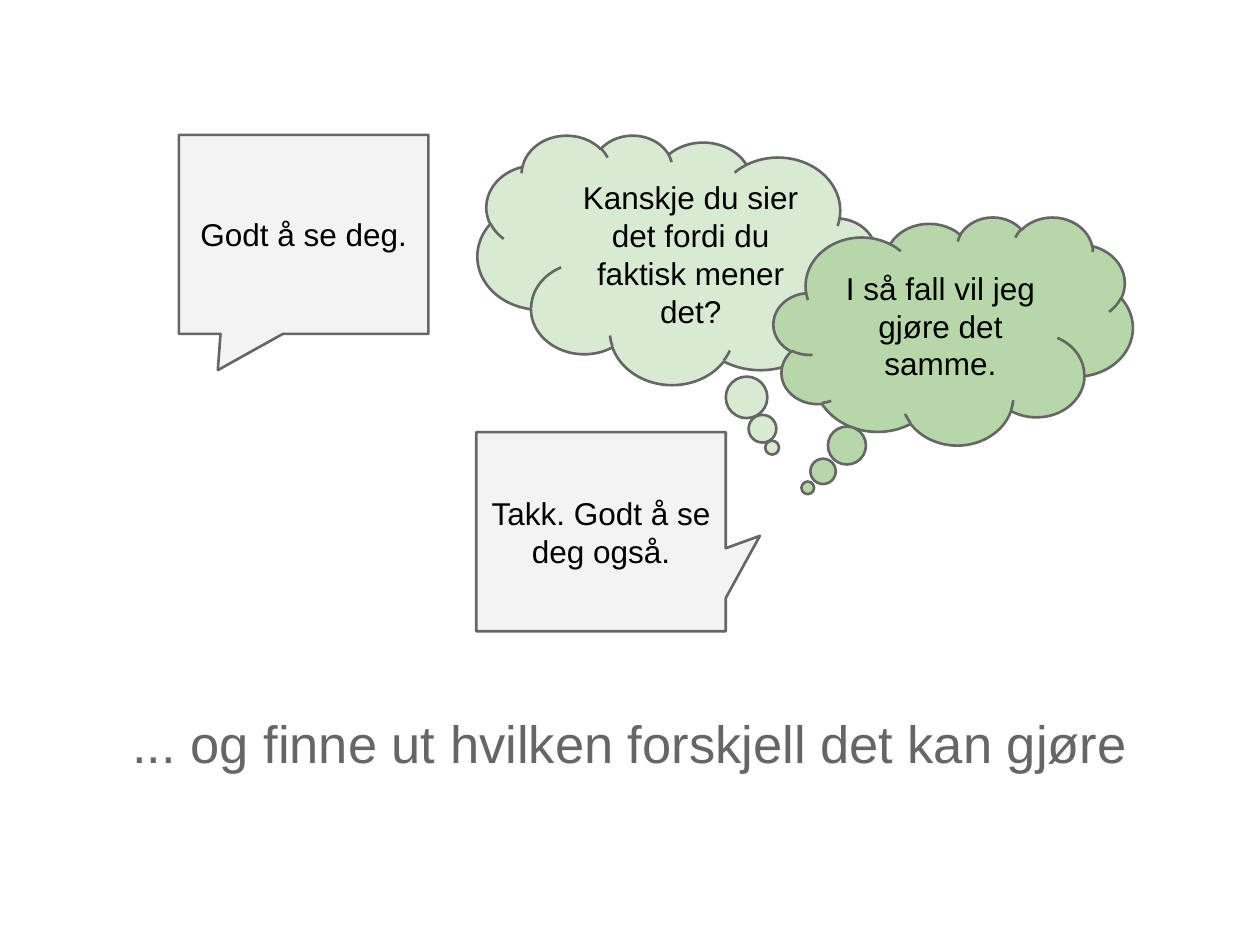
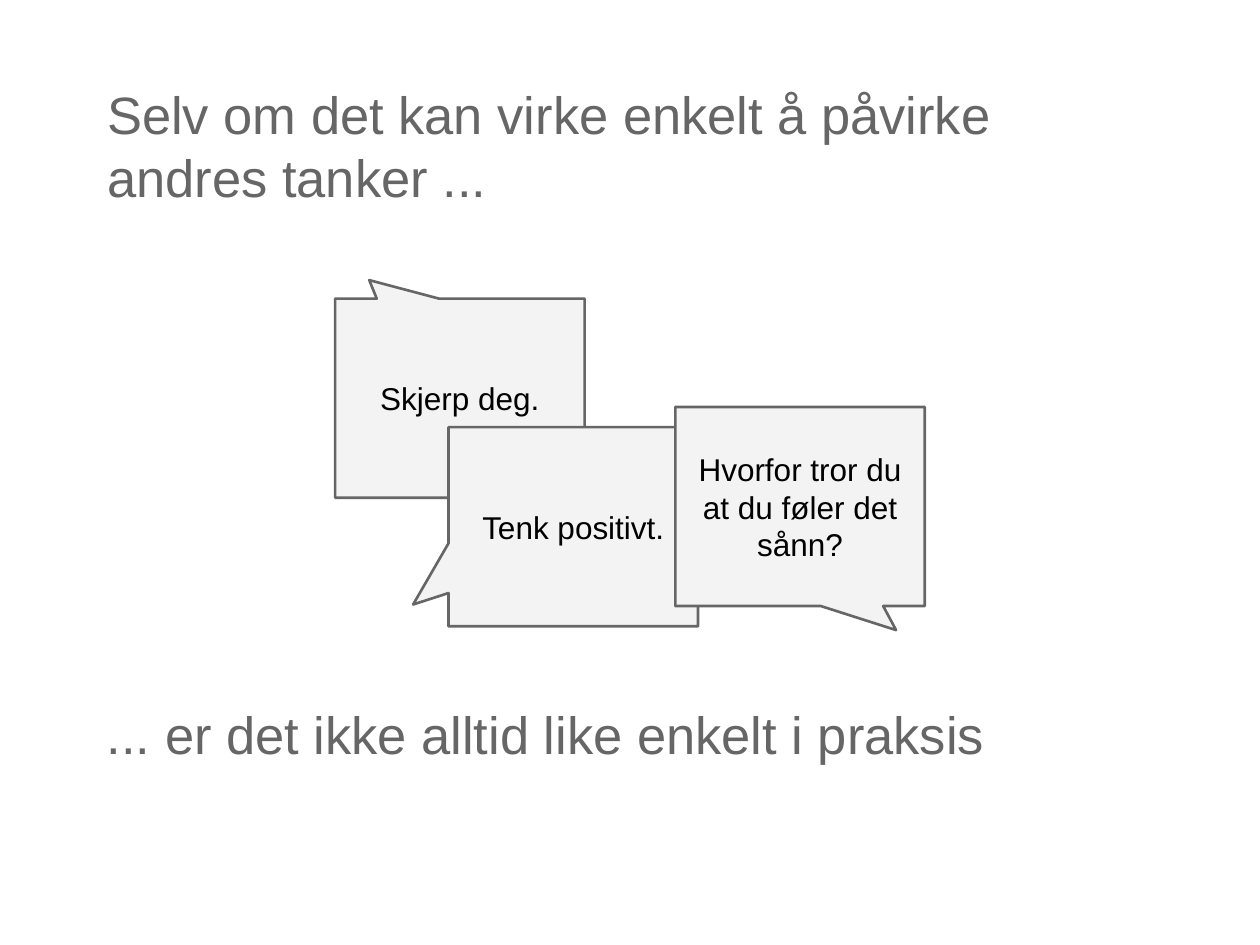
from dataclasses import dataclass

import pptx
import pptx.dml.color
import pptx.enum.shapes
import pptx.enum.text
import pptx.util

RGBColor = pptx.dml.color.RGBColor
Align = pptx.enum.text.PP_ALIGN
Anchor = pptx.enum.text.MSO_ANCHOR
Preset = pptx.enum.shapes.MSO_SHAPE

GREY = RGBColor(0x66, 0x66, 0x66)
PALE_GREY = RGBColor(0xF3, 0xF3, 0xF3)
PALE_GREEN = RGBColor(0xD9, 0xEA, 0xD3)
GREEN = RGBColor(0xB6, 0xD7, 0xA8)
BLACK = RGBColor(0x00, 0x00, 0x00)

FONT = "Arial"
COLUMNS, ROWS = 100, 75
SLIDE_WIDTH, SLIDE_HEIGHT = pptx.util.Inches(10), pptx.util.Inches(7.5)
MARGIN = pptx.util.Inches(0.1)
CAPTION_LEFT, CAPTION_WIDTH = 7.5, 85
SPEECH_WIDTH, SPEECH_HEIGHT = 19.8, 15.8


@dataclass(frozen=True)
class Caption:
    text: str
    row: float
    rows: float = 11.4
    align: Align = Align.LEFT


@dataclass(frozen=True)
class Callout:
    text: str
    column: float
    row: float
    tail: tuple[float, ...]
    columns: float = SPEECH_WIDTH
    rows: float = SPEECH_HEIGHT
    preset: Preset = Preset.ROUNDED_RECTANGULAR_CALLOUT
    fill: RGBColor = PALE_GREY
    flipped: bool = False


@dataclass(frozen=True)
class Scene:
    captions: tuple[Caption, ...]
    callouts: tuple[Callout, ...]


def across(columns: float) -> int:
    return round(SLIDE_WIDTH * columns / COLUMNS)


def down(rows: float) -> int:
    return round(SLIDE_HEIGHT * rows / ROWS)


def write(shape, text: str, size: int, color: RGBColor, align: Align, anchor: Anchor) -> None:
    frame = shape.text_frame
    frame.word_wrap = True
    frame.auto_size = pptx.enum.text.MSO_AUTO_SIZE.NONE
    frame.vertical_anchor = anchor
    frame.margin_left = frame.margin_right = MARGIN
    frame.margin_top = frame.margin_bottom = MARGIN
    frame.text = text
    paragraph = frame.paragraphs[0]
    paragraph.alignment = align
    paragraph.font.name = FONT
    paragraph.font.size = pptx.util.Pt(size)
    paragraph.font.color.rgb = color


def draw_caption(box, caption: Caption) -> None:
    box.left, box.top = across(CAPTION_LEFT), down(caption.row)
    box.width, box.height = across(CAPTION_WIDTH), down(caption.rows)
    write(box, caption.text, 30, GREY, caption.align, Anchor.TOP)


def draw_callout(page, callout: Callout) -> None:
    shape = page.shapes.add_shape(
        callout.preset,
        across(callout.column), down(callout.row),
        across(callout.columns), down(callout.rows),
    )
    for index, value in enumerate(callout.tail):
        shape.adjustments[index] = value
    if callout.flipped:
        shape._element.spPr.xfrm.set("flipH", "1")
    shape.shadow.inherit = False
    shape.fill.solid()
    shape.fill.fore_color.rgb = callout.fill
    shape.line.color.rgb = GREY
    shape.line.width = pptx.util.Pt(1.5)
    write(shape, callout.text, 18, BLACK, Align.CENTER, Anchor.MIDDLE)


def draw_scene(deck, scene: Scene) -> None:
    page = deck.slides.add_slide(deck.slide_layouts.get_by_name("Title Only"))
    heading, *others = scene.captions
    draw_caption(page.shapes.title, heading)
    for caption in others:
        draw_caption(page.shapes.add_textbox(0, 0, 0, 0), caption)
    for callout in scene.callouts:
        draw_callout(page, callout)


SCENES = (
    Scene(
        captions=(
            Caption("... og finne ut hvilken forskjell det kan gjøre", 55.4, align=Align.CENTER),
        ),
        callouts=(
            Callout("Godt å se deg.", 14.2, 10.7, (-0.344, 0.682, 0)),
            Callout(
                "Kanskje du sier det fordi du faktisk mener det?",
                37.9, 10.7, (-0.24, 0.754), 31.6, 19.8,
                Preset.CLOUD_CALLOUT, PALE_GREEN, flipped=True,
            ),
            Callout(
                "I så fall vil jeg gjøre det samme.",
                61.4, 17.2, (-0.405, 0.689), 28.5, 18.1,
                Preset.CLOUD_CALLOUT, GREEN,
            ),
            Callout("Takk. Godt å se deg også.", 37.8, 34.3, (0.637, 0.021, 0)),
        ),
    ),
    Scene(
        captions=(
            Caption("Selv om det kan virke enkelt å påvirke andres tanker ...", 5.5),
            Caption("... er det ikke alltid like enkelt i praksis", 54.7, 17.2),
        ),
        callouts=(
            Callout("Skjerp deg.", 26.6, 23.7, (-0.363, -0.593, 0)),
            Callout("Tenk positivt.", 35.6, 33.9, (-0.642, 0.391, 0)),
            Callout("Hvorfor tror du at du føler det sånn?", 53.6, 32.3, (0.385, 0.621, 0)),
        ),
    ),
)

deck = pptx.Presentation()
deck.slide_width, deck.slide_height = SLIDE_WIDTH, SLIDE_HEIGHT
for scene in SCENES:
    draw_scene(deck, scene)
deck.save("out.pptx")
